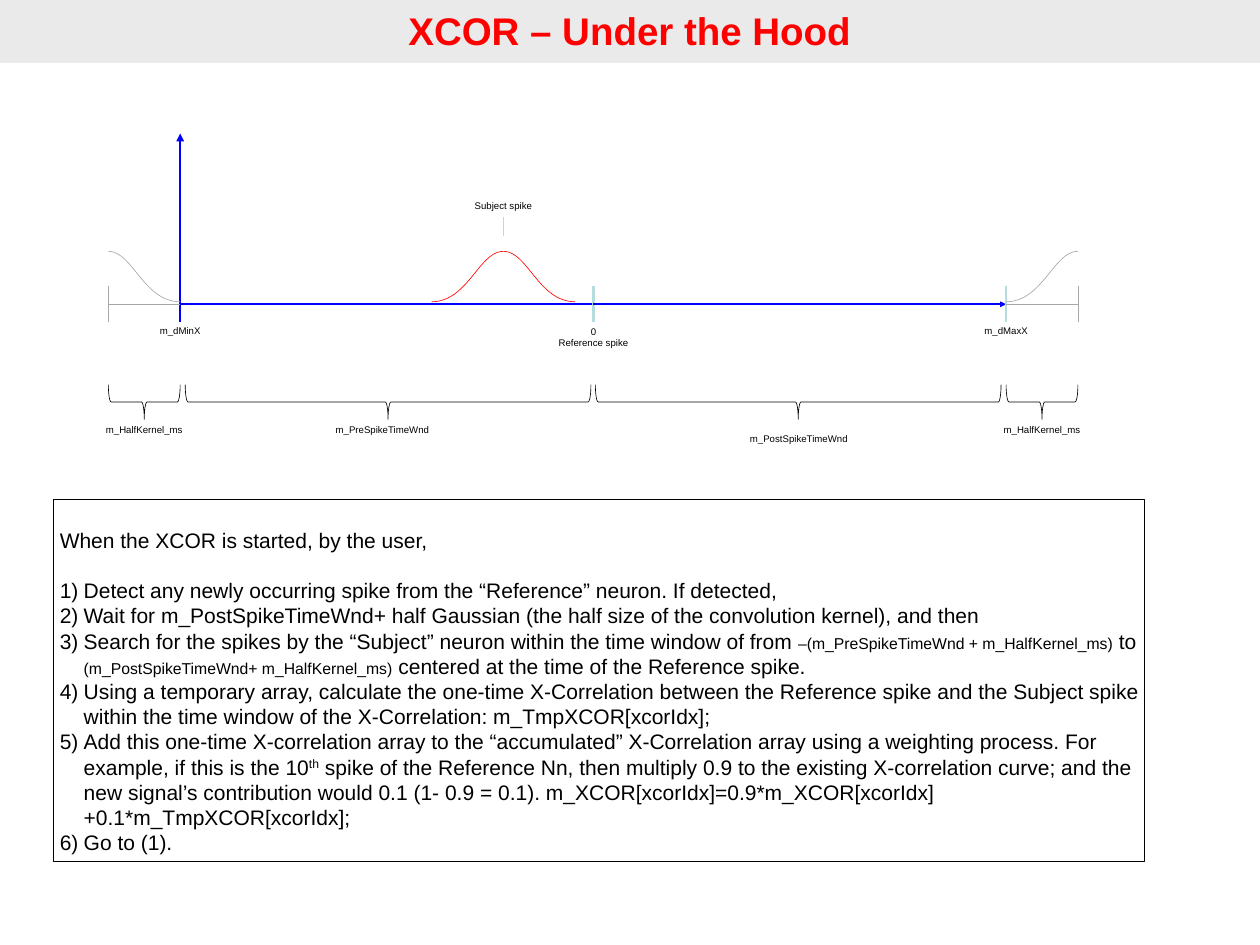
import pptx
import pptx.util
from lxml import etree
from pptx.dml.color import RGBColor
from pptx.enum.shapes import MSO_CONNECTOR, MSO_SHAPE
from pptx.enum.text import MSO_ANCHOR, PP_ALIGN
from pptx.oxml.ns import qn
from pptx.util import Inches, Pt

THEME = {
    "font": "Arial", "title_size": 44, "body_size": 24, "code_size": 18, "label_size": 11,
    "title": RGBColor(0xFF, 0, 0), "band": RGBColor(0xEA, 0xEA, 0xEA),
    "text": RGBColor(0, 0, 0), "axis": RGBColor(0, 0, 0xFF),
    "tick": RGBColor(0xB6, 0xDC, 0xDF), "margin": RGBColor(0xA6, 0xA6, 0xA6),
    "spike": RGBColor(0xFF, 0, 0),
}

MIN_X, ZERO_X, MAX_X = 2.86, 9.42, 15.97
SPIKE_X, HALF_KERNEL = 7.99, 1.14
LEFT_X, RIGHT_X = MIN_X - HALF_KERNEL, MAX_X + HALF_KERNEL
AXIS_Y, TICK_TOP, TICK_BOTTOM = 4.83, 4.54, 5.11
CURVE_TOP, CURVE_FOOT = 3.99, 4.79


def add_run(p, text, size, color):
    r = p.add_run()
    r.text = text
    r.font.name = THEME["font"]
    r.font.size = Pt(THEME[size])
    r.font.color.rgb = THEME[color]
    return r


def style_outline(sp, color, width):
    sp.line.color.rgb = THEME[color]
    sp.line.width = Pt(width)


prs = pptx.Presentation()
prs.slide_width, prs.slide_height = Inches(20), Inches(15)
s = prs.slides.add_slide(prs.slide_layouts[6])

band = s.shapes.add_shape(MSO_SHAPE.RECTANGLE, 0, 0, Inches(20), Inches(1))
band.shadow.inherit = False
band.fill.solid()
band.fill.fore_color.rgb = THEME["band"]
band.line.fill.background()
tf = band.text_frame
tf.vertical_anchor = MSO_ANCHOR.TOP
tf.margin_top = Inches(0.11)
p = tf.paragraphs[0]
p.alignment = PP_ALIGN.CENTER
add_run(p, "XCOR – Under the Hood", "title_size", "title").font.bold = True

steps = s.shapes.add_textbox(Inches(0.85), Inches(7.92), Inches(17.32), Inches(5.76))
style_outline(steps, "text", 0.75)
tf = steps.text_frame
tf.word_wrap = True
tf.margin_top, tf.margin_right = Inches(0.45), Inches(0.08)
LINE_PITCH = Pt(28.8)
paragraphs = [
    [("When the XCOR is started, by the user,", "")],
    [("Detect any newly occurring spike from the “Reference” neuron. If detected,", "")],
    [("Wait for m_PostSpikeTimeWnd+ half Gaussian (the half size of the convolution kernel), and then", "")],
    [("Search for the spikes by the “Subject” neuron within the time window of from ", ""),
     ("–(m_PreSpikeTimeWnd + m_HalfKernel_ms)", "code"), (" to ", ""),
     ("(m_PostSpikeTimeWnd+ m_HalfKernel_ms)", "code"),
     (" centered at the time of the Reference spike.", "")],
    [("Using a temporary array, calculate the one-time X-Correlation between the Reference spike and the "
      "Subject spike within the time window of the X-Correlation: m_TmpXCOR[xcorIdx];", "")],
    [("Add this one-time X-correlation array to the “accumulated” X-Correlation array using a weighting "
      "process. For example, if this is the 10", ""), ("th", "super"),
     (" spike of the Reference Nn, then multiply 0.9 to the existing X-correlation curve; and the new "
      "signal’s contribution would 0.1 (1- 0.9 = 0.1). "
      "m_XCOR[xcorIdx]=0.9*m_XCOR[xcorIdx]+0.1*m_TmpXCOR[xcorIdx];", "")],
    [("Go to (1).", "")],
]
for i, runs in enumerate(paragraphs):
    p = tf.paragraphs[0] if i == 0 else tf.add_paragraph()
    p.line_spacing = LINE_PITCH
    if i == 1:
        p.space_before = LINE_PITCH
    if i > 0:
        pPr = p._p.get_or_add_pPr()
        pPr.set("marL", str(Inches(0.38)))
        pPr.set("indent", str(-Inches(0.38)))
        etree.SubElement(pPr, qn("a:buFont"), typeface=THEME["font"])
        etree.SubElement(pPr, qn("a:buAutoNum"), type="arabicParenR")
    for text, kind in runs:
        r = add_run(p, text, "code_size" if kind == "code" else "body_size", "text")
        if kind == "super":
            r._r.get_or_add_rPr().set("baseline", "30000")

lines = [
    (MIN_X, TICK_BOTTOM, MIN_X, 2.12, "axis", 3, True),
    (MIN_X, AXIS_Y, ZERO_X, AXIS_Y, "axis", 2.25, False),
    (ZERO_X, TICK_TOP, ZERO_X, TICK_BOTTOM, "tick", 3, False),
    (ZERO_X, AXIS_Y, MAX_X, AXIS_Y, "axis", 2.25, True),
    (MAX_X, TICK_TOP, MAX_X, TICK_BOTTOM, "tick", 3, False),
    (LEFT_X, AXIS_Y, MIN_X, AXIS_Y, "margin", 0.75, False),
    (LEFT_X, TICK_TOP, LEFT_X, TICK_BOTTOM, "margin", 0.75, False),
    (MAX_X, AXIS_Y, RIGHT_X, AXIS_Y, "margin", 0.75, False),
    (RIGHT_X, TICK_TOP, RIGHT_X, TICK_BOTTOM, "margin", 0.75, False),
    (SPIKE_X, 3.45, SPIKE_X, 3.74, "tick", 0.75, False),
]
for x1, y1, x2, y2, color, width, arrow in lines:
    line = s.shapes.add_connector(MSO_CONNECTOR.STRAIGHT, Inches(x1), Inches(y1), Inches(x2), Inches(y2))
    style_outline(line, color, width)
    if arrow:
        etree.SubElement(line.line._get_or_add_ln(), qn("a:tailEnd"), type="triangle")
    etree.SubElement(line._element.spPr, qn("a:effectLst"))

SEGMENTS = 32
for peak, direction, color in [(LEFT_X, 1, "margin"), (RIGHT_X, -1, "margin"),
                               (SPIKE_X, -1, "spike"), (SPIKE_X, 1, "spike")]:
    points = []
    for i in range(SEGMENTS + 1):
        t = i / SEGMENTS
        across = 3 * (1 - t) ** 2 * t * 0.34 + 3 * (1 - t) * t ** 2 * 0.49 + t ** 3
        down = 3 * (1 - t) * t ** 2 + t ** 3
        points.append((Inches(peak + direction * HALF_KERNEL * across),
                       Inches(CURVE_TOP + (CURVE_FOOT - CURVE_TOP) * down)))
    builder = s.shapes.build_freeform(*points[0])
    builder.add_line_segments(points[1:], close=False)
    curve = builder.convert_to_shape()
    curve.shadow.inherit = False
    curve.fill.background()
    style_outline(curve, color, 0.75)

BRACE_DEPTH, BRACE_Y = 0.55, 6.38
for center, span in [(2.29, HALF_KERNEL), (6.16, 6.44), (12.67, 6.44), (16.54, HALF_KERNEL)]:
    brace = s.shapes.add_shape(MSO_SHAPE.RIGHT_BRACE, Inches(center - BRACE_DEPTH / 2),
                               Inches(BRACE_Y - span / 2), Inches(BRACE_DEPTH), Inches(span))
    brace.rotation = 90
    brace.adjustments[0], brace.adjustments[1] = 0.08, 0.5
    brace.shadow.inherit = False
    brace.fill.background()
    style_outline(brace, "text", 0.75)

labels = [
    (MIN_X, 5.11, 1.14, ["m_dMinX"]),
    (MAX_X, 5.11, 1.14, ["m_dMaxX"]),
    (ZERO_X, 5.12, 1.71, ["0", "Reference spike"]),
    (SPIKE_X, 3.13, 1.42, ["Subject spike"]),
    (2.29, 6.68, 1.99, ["m_HalfKernel_ms"]),
    (6.07, 6.68, 2.42, ["m_PreSpikeTimeWnd"]),
    (12.68, 6.82, 2.42, ["m_PostSpikeTimeWnd"]),
    (16.54, 6.68, 1.99, ["m_HalfKernel_ms"]),
]
for center, top, width, texts in labels:
    label = s.shapes.add_textbox(Inches(center - width / 2), Inches(top), Inches(width),
                                 Inches(0.11 + 0.18 * len(texts)))
    tf = label.text_frame
    tf.word_wrap = True
    for i, text in enumerate(texts):
        p = tf.paragraphs[0] if i == 0 else tf.add_paragraph()
        p.alignment = PP_ALIGN.CENTER
        add_run(p, text, "label_size", "text")

prs.save("out.pptx")
